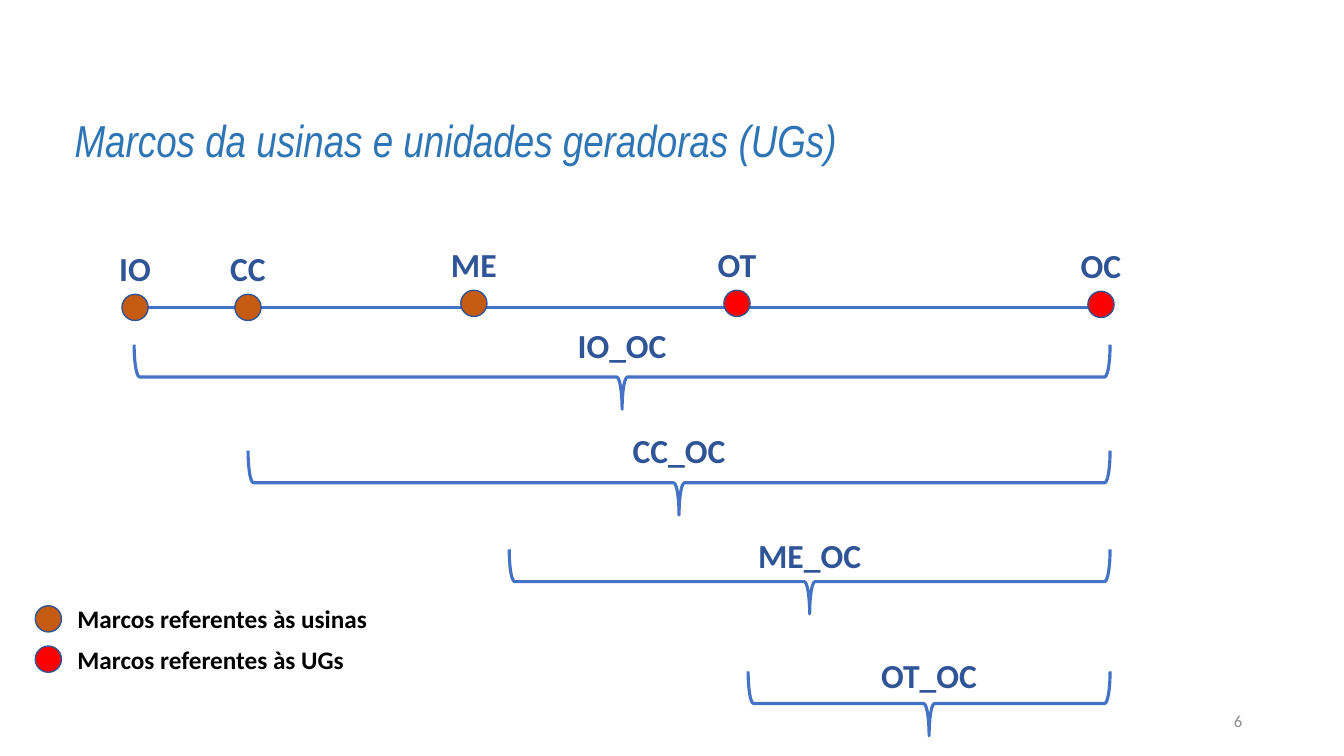
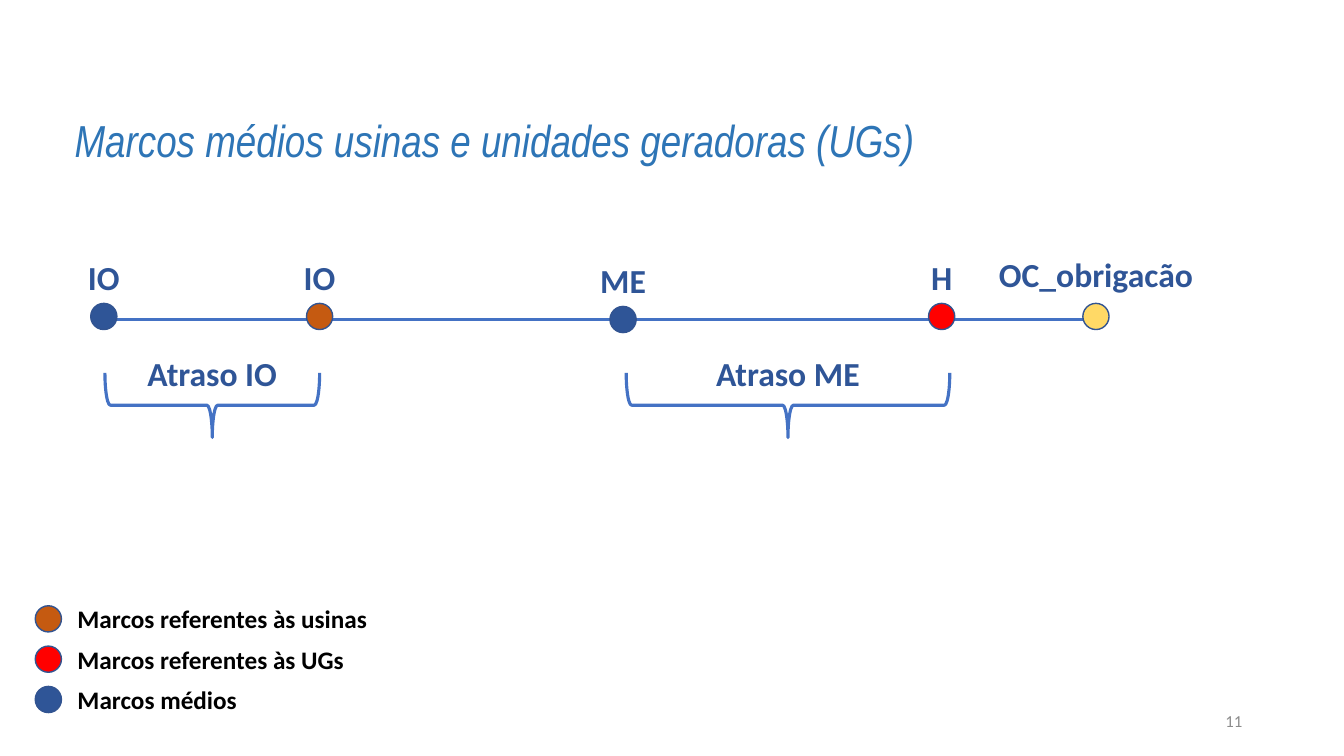
from dataclasses import dataclass

from pptx import Presentation
from pptx import util as u
from pptx.dml.color import RGBColor
from pptx.enum import shapes, text
from pptx.oxml.ns import qn
from lxml import etree


# Shared look
@dataclass(frozen=True)
class Theme:
    title_font: str = "Arial Narrow"
    body_font: str = "Calibri"
    title_size: int = 32
    label_size: int = 24
    legend_size: int = 18
    number_size: int = 12
    title: str = "2E75B6"
    label: str = "2F5597"
    legend: str = "000000"
    number: str = "8C8C8C"
    axis: str = "4472C4"
    dot_line: str = "325491"
    plant: str = "C55A11"
    unit: str = "FF0000"
    mean: str = "2F5597"
    duty: str = "FFD966"


THEME = Theme()
DOT = 0.26
BRACE_DEPTH = 0.64
LEGEND_TOP, LEGEND_STEP = 6.01, 0.4
LEFT, CENTER, RIGHT = text.PP_ALIGN.LEFT, text.PP_ALIGN.CENTER, text.PP_ALIGN.RIGHT

LEGEND = [
    ("Marcos referentes às usinas", THEME.plant, 3.1),
    ("Marcos referentes às UGs", THEME.unit, 2.87),
    ("Marcos médios", THEME.mean, 1.79),
]


# Basic elements
def place(left, top, width, height):
    return [u.Inches(value) for value in (left, top, width, height)]


def write(box, words, size, color, align=LEFT, bold=False, italic=False,
          font=THEME.body_font, anchor=text.MSO_ANCHOR.TOP, wrap=True):
    frame = box.text_frame
    frame.text = words
    frame.word_wrap = wrap
    frame.auto_size = text.MSO_AUTO_SIZE.NONE
    frame.vertical_anchor = anchor
    para = frame.paragraphs[0]
    para.alignment = align
    span = para.runs[0].font
    span.name, span.size, span.bold, span.italic = font, u.Pt(size), bold, italic
    span.color.rgb = RGBColor.from_string(color)


def outline(shape, color, width):
    shape.line.color.rgb = RGBColor.from_string(color)
    shape.line.width = u.Pt(width)


def add_dot(group, left, top, color):
    dot = group.shapes.add_shape(shapes.MSO_SHAPE.OVAL, *place(left, top, DOT, DOT))
    dot.shadow.inherit = False
    dot.fill.solid()
    dot.fill.fore_color.rgb = RGBColor.from_string(color)
    outline(dot, THEME.dot_line, 1)


def add_label(group, words, center, top, width):
    box = group.shapes.add_textbox(*place(center - width / 2, top, width, 0.5))
    write(box, words, THEME.label_size, THEME.label, CENTER, bold=True)


# Timeline parts
def add_axis(page, left, right, top):
    line = page.shapes.add_connector(
        shapes.MSO_CONNECTOR.STRAIGHT, *place(left, top, right, top))
    outline(line, THEME.axis, 2.25)
    etree.SubElement(line._element.spPr, qn("a:effectLst"))


def add_milestone(page, words, left, top, color, label_width=0.8, lift=0.51):
    group = page.shapes.add_group_shape()
    add_dot(group, left, top, color)
    add_label(group, words, left + DOT / 2, top - lift, label_width)


def add_interval(page, words, left, right, top, label_top, label_width):
    group = page.shapes.add_group_shape()
    center, span = (left + right) / 2, right - left
    # The upright brace turns a quarter about its centre
    brace = group.shapes.add_shape(
        shapes.MSO_SHAPE.RIGHT_BRACE,
        *place(center - BRACE_DEPTH / 2, top + BRACE_DEPTH / 2 - span / 2,
               BRACE_DEPTH, span))
    brace.rotation = 90
    brace.shadow.inherit = False
    brace.fill.background()
    outline(brace, THEME.axis, 2.25)
    add_label(group, words, center, label_top, label_width)


def add_legend(page, entries):
    for index, (words, color, width) in enumerate(entries):
        top = LEGEND_TOP + index * LEGEND_STEP
        group = page.shapes.add_group_shape()
        add_dot(group, 0.35, top, color)
        box = group.shapes.add_textbox(*place(0.67, top - 0.07, width, 0.4))
        write(box, words, THEME.legend_size, THEME.legend, bold=True, wrap=False)


# Whole slide
def add_timeline(deck, title, number, axis, milestones, intervals, legend):
    page = deck.slides.add_slide(deck.slide_layouts.get_by_name("Title Only"))
    heading = page.shapes.title
    heading.left, heading.top, heading.width, heading.height = place(
        0.64, 1.07, 12.04, 0.64)
    write(heading, title, THEME.title_size, THEME.title, italic=True,
          font=THEME.title_font)
    add_axis(page, *axis)
    for milestone in milestones:
        add_milestone(page, *milestone)
    for interval in intervals:
        add_interval(page, *interval)
    add_legend(page, legend)
    box = page.shapes.add_textbox(*place(9.42, 6.95, 3, 0.4))
    write(box, number, THEME.number_size, THEME.number, RIGHT,
          anchor=text.MSO_ANCHOR.MIDDLE)


def main():
    deck = Presentation()
    deck.slide_width, deck.slide_height = u.Inches(13.33), u.Inches(7.5)

    # Milestones: label, left, top, colour
    # Intervals: label, left, right, top, label top, label width
    add_timeline(
        deck, "Marcos da usinas e unidades geradoras (UGs)", "6",
        axis=(1.21, 11.01, 3.05),
        milestones=[
            ("IO", 1.21, 2.92, THEME.plant),
            ("CC", 2.33, 2.92, THEME.plant),
            ("ME", 4.57, 2.88, THEME.plant),
            ("OT", 7.18, 2.88, THEME.unit),
            ("OC", 10.79, 2.89, THEME.unit),
        ],
        intervals=[
            ("IO_OC", 1.33, 11.01, 3.42, 3.17, 1.55),
            ("CC_OC", 2.46, 11.01, 4.47, 4.22, 1.37),
            ("ME_OC", 5.05, 11.01, 5.45, 5.26, 1.63),
            ("OT_OC", 7.42, 11.01, 6.66, 6.45, 1.34),
        ],
        legend=LEGEND[:2])

    add_timeline(
        deck, "Marcos médios usinas e unidades geradoras (UGs)", "11",
        axis=(1.03, 10.83, 3.17),
        milestones=[
            ("OC_obrigacão", 10.74, 3.01, THEME.duty, 4.21, 0.54),
            ("IO", 0.9, 3.01, THEME.mean),
            ("ME", 6.05, 3.04, THEME.mean),
            ("IO", 3.04, 3.01, THEME.plant),
            ("H", 9.21, 3.01, THEME.unit),
        ],
        intervals=[
            ("Atraso IO", 1.04, 3.17, 3.7, 3.45, 1.87),
            ("Atraso ME", 6.21, 9.42, 3.7, 3.45, 2.81),
        ],
        legend=LEGEND)

    deck.save("out.pptx")


main()
